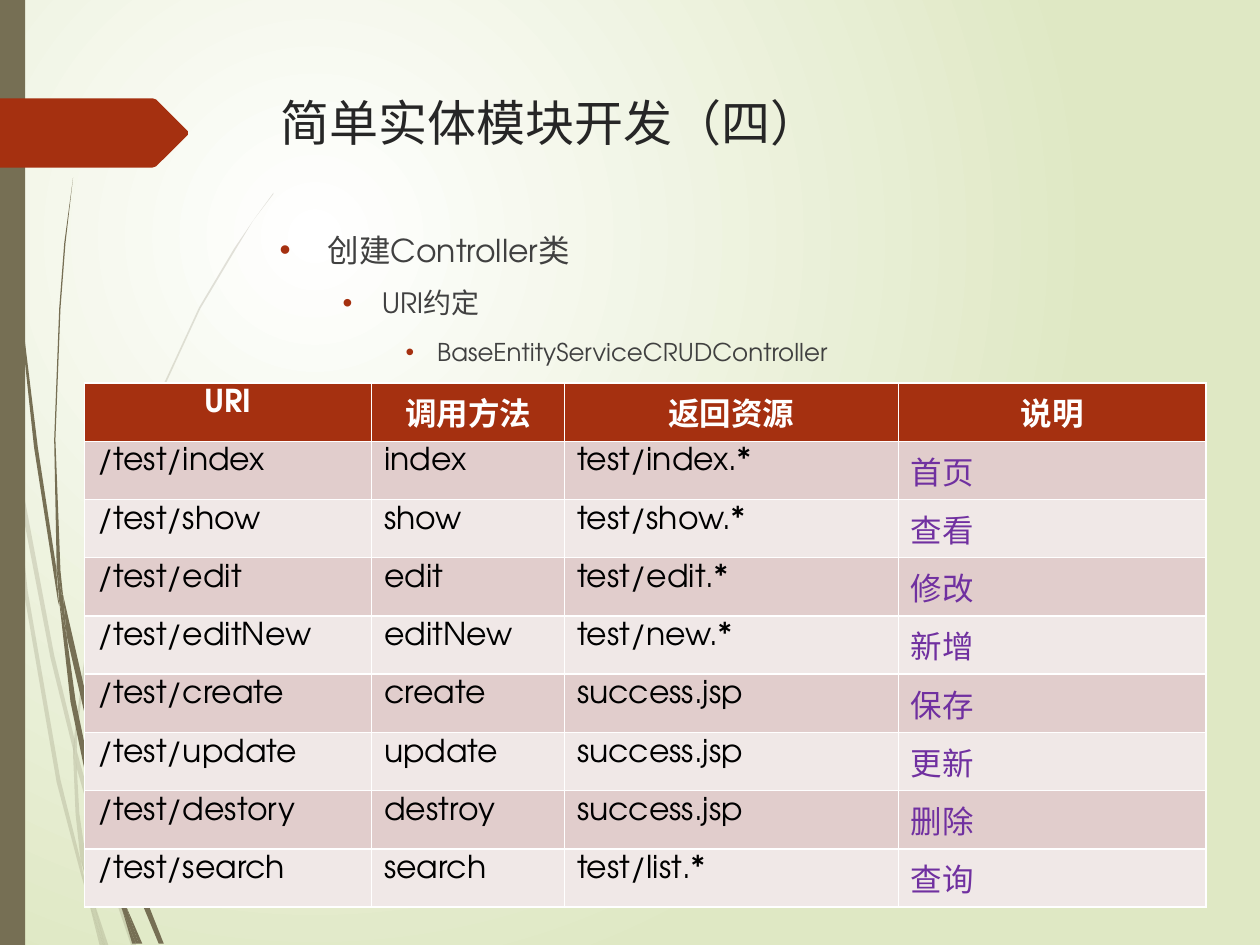
from dataclasses import dataclass
from itertools import product

from lxml.etree import SubElement as Sub
from pptx import Presentation
from pptx.dml.color import RGBColor as Rgb
from pptx.enum.shapes import MSO_SHAPE as Shape
from pptx.enum.text import MSO_ANCHOR as Anchor, MSO_AUTO_SIZE as Fit, PP_ALIGN as Align
from pptx.oxml import parse_xml
from pptx.oxml.ns import nsdecls, qn
from pptx.util import Inches, Pt


@dataclass(frozen=True)
class Theme:
    font: str = "TeX Gyre Adventor"
    accent: str = "A53010"
    stem: str = "766F54"
    title: str = "262626"
    body: str = "404040"
    cell: str = "000000"
    note: str = "7030A0"
    white: str = "FFFFFF"
    edge: str = "DFE8C4"
    bands: tuple = ("E1CDCC", "F0E8E7")
    title_size: int = 28
    body_sizes: tuple = (18, 16, 14)
    cell_size: int = 18


T = Theme()
WIDTH, HEIGHT = Inches(10), Inches(7.5)
UNIT = Inches(0.01)

PALE_BLADES = [
    [(8, 350), (6, 322), (0, 282), (0, 299), (7, 344)],
    [(40, 522), (59, 599), (59, 586), (43, 520), (10, 345), (12, 376)],
    [(64, 607), (61, 596), (61, 610), (85, 694), (104, 750), (108, 750), (88, 692)],
    [(83, 750), (86, 750), (73, 711)],
    [(64, 683), (48, 619), (22, 469), (12, 376), (8, 350), (19, 470), (45, 621),
     (64, 693), (70, 714), (69, 707)],
    [(58, 599), (60, 646), (64, 683), (67, 692), (73, 711), (72, 706), (63, 646),
     (61, 610), (61, 608)],
    [(61, 584), (76, 462), (111, 349), (159, 245), (187, 198), (201, 175), (217, 154),
     (217, 153), (201, 175), (186, 197), (158, 244), (110, 348), (75, 461), (59, 584),
     (59, 586), (61, 596)],
    [(70, 714), (79, 750), (82, 750)],
    [(61, 608), (61, 610), (61, 596), (59, 586), (58, 599)],
    [(67, 692), (65, 683), (69, 707), (70, 714), (82, 750), (83, 750), (73, 711)],
]
DARK_BLADES = [
    [(5, 110), (14, 233), (27, 355), (46, 477), (47, 481), (45, 457), (45, 453),
     (30, 355), (15, 232), (6, 109), (4, 48), (3, 0), (2, 0), (3, 48)],
    [(73, 592), (88, 645), (88, 633), (88, 631), (77, 590), (50, 472), (53, 505)],
    [(94, 649), (91, 641), (91, 656), (109, 708), (126, 749), (130, 749), (113, 706)],
    [(91, 691), (81, 657), (60, 556), (53, 505), (47, 477), (56, 557), (77, 659),
     (92, 708), (97, 722), (96, 717)],
    [(50, 472), (48, 453), (44, 349), (48, 245), (52, 193), (58, 141), (51, 193),
     (47, 245), (43, 349), (45, 449), (49, 472)],
    [(110, 749), (113, 749), (100, 719)],
    [(47, 477), (53, 505), (50, 472), (49, 472), (45, 449), (45, 453)],
    [(91, 633), (103, 552), (131, 476), (169, 406), (191, 374), (203, 359), (216, 344),
     (215, 344), (203, 358), (191, 373), (168, 405), (129, 474), (101, 551), (88, 631),
     (91, 641)],
    [(97, 722), (105, 749), (108, 749)],
    [(88, 645), (91, 691), (96, 706), (100, 719), (100, 716), (91, 656), (90, 651)],
    [(88, 645), (90, 651), (91, 656), (91, 641), (88, 631), (88, 633)],
    [(96, 706), (91, 691), (96, 717), (97, 722), (108, 749), (110, 749), (100, 719)],
]
ARROW = [(149, 107), (124, 132), (121, 133), (0, 133), (0, 78), (121, 78), (124, 79), (149, 104)]

BULLETS = [("创建Controller类", 0.38, 0.38), ("URI约定", 0.81, 0.31),
           ("BaseEntityServiceCRUDController", 1.25, 0.25)]
COLUMNS = [2.28, 1.53, 2.65, 2.44]
ROWS = [
    ("URI", "调用方法", "返回资源", "说明"),
    ("/test/index", "index", "test/index.*", "首页"),
    ("/test/show", "show", "test/show.*", "查看"),
    ("/test/edit", "edit", "test/edit.*", "修改"),
    ("/test/editNew", "editNew", "test/new.*", "新增"),
    ("/test/create", "create", "success.jsp", "保存"),
    ("/test/update", "update", "success.jsp", "更新"),
    ("/test/destory", "destroy", "success.jsp", "删除"),
    ("/test/search", "search", "test/list.*", "查询"),
]


def box(left, top, width, height):
    return [int(share * full / 100) for share, full in
            zip((left, top, width, height), (WIDTH, HEIGHT) * 2)]


def write(p, text, size, color, bold=False, align=Align.LEFT):
    p.alignment = align
    r = p.add_run()
    r.text = text
    r.font.name, r.font.size, r.font.bold = T.font, Pt(size), bold
    r.font.color.rgb = Rgb.from_string(color)


def paint(sp, color, alpha=None):
    sp.shadow.inherit = False
    sp.fill.solid()
    sp.fill.fore_color.rgb = Rgb.from_string(color)
    sp.line.fill.background()
    if alpha:
        clr = sp._element.spPr.find(f"{qn('a:solidFill')}/{qn('a:srgbClr')}")
        Sub(clr, qn("a:alpha"), val=str(alpha * 1000))


def add_outline(s, points, color, alpha=None):
    builder = s.shapes.build_freeform(*points[0], scale=UNIT)
    builder.add_line_segments(points[1:], close=True)
    paint(builder.convert_to_shape(), color, alpha)


def set_background(s):
    fill = s.background.fill
    fill.gradient()
    for stop, color in zip(fill.gradient_stops, (T.white, T.edge)):
        stop.color.rgb = Rgb.from_string(color)
    grad = next(s._element.iter(qn("a:gradFill")))
    grad.remove(grad.find(qn("a:lin")))
    circle = Sub(grad, qn("a:path"), path="circle")
    Sub(circle, qn("a:fillToRect"), l="50000", t="50000", r="100000", b="100000")


def place(s, sp, area):
    s.shapes._spTree.append(sp._element)
    sp.left, sp.top, sp.width, sp.height = box(*area)
    tf = sp.text_frame
    tf.word_wrap, tf.auto_size, tf.vertical_anchor = True, Fit.NONE, Anchor.TOP
    return tf


def add_bullets(tf):
    for level, (text, indent, hang) in enumerate(BULLETS):
        p = tf.add_paragraph() if level else tf.paragraphs[0]
        p.level, p.space_before = level, Pt(10)
        write(p, text, T.body_sizes[level], T.body)
        pPr = p._p.get_or_add_pPr()
        pPr.set("marL", str(Inches(indent)))
        pPr.set("indent", str(-Inches(hang)))
        Sub(Sub(pPr, qn("a:buClr")), qn("a:srgbClr"), val=T.accent)
        Sub(pPr, qn("a:buFont"), typeface="Arial")
        Sub(pPr, qn("a:buChar"), char="•")


def add_borders(cell):
    tcPr = cell._tc.get_or_add_tcPr()
    for i, side in enumerate("LRTB"):
        tcPr.insert(i, parse_xml(
            f'<a:ln{side} {nsdecls("a")} w="{Pt(1)}"><a:solidFill>'
            f'<a:srgbClr val="{T.white}"/></a:solidFill></a:ln{side}>'))


def add_grid(s, area):
    table = s.shapes.add_table(len(ROWS), len(COLUMNS), *box(*area)).table
    for column, width in zip(table.columns, COLUMNS):
        column.width = Inches(width)
    for i, j in product(range(len(ROWS)), range(len(COLUMNS))):
        cell, head = table.cell(i, j), i == 0
        cell.fill.solid()
        cell.fill.fore_color.rgb = Rgb.from_string(T.accent if head else T.bands[(i - 1) % 2])
        add_borders(cell)
        color = T.white if head else T.note if j == 3 else T.cell
        write(cell.text_frame.paragraphs[0], ROWS[i][j], T.cell_size, color, bold=head,
              align=Align.CENTER if head else Align.LEFT)


def main():
    prs = Presentation()
    prs.slide_width, prs.slide_height = WIDTH, HEIGHT
    s = prs.slides.add_slide(prs.slide_layouts[1])
    set_background(s)
    for blade in PALE_BLADES:
        add_outline(s, blade, T.stem, alpha=20)
    for blade in DARK_BLADES:
        add_outline(s, blade, T.stem)
    paint(s.shapes.add_shape(Shape.RECTANGLE, *box(0, 0, 2, 100)), T.stem)
    add_outline(s, ARROW, T.accent)
    title, body = s.placeholders
    tf = place(s, title, (21.3, 9.07, 72.1, 18.67))
    write(tf.paragraphs[0], "简单实体模块开发（四）", T.title_size, T.title)
    add_bullets(place(s, body, (21.2, 23.73, 72.1, 76.27)))
    add_grid(s, (6.7, 40.53, 89, 51.47))
    prs.save("out.pptx")


if __name__ == "__main__":
    main()
